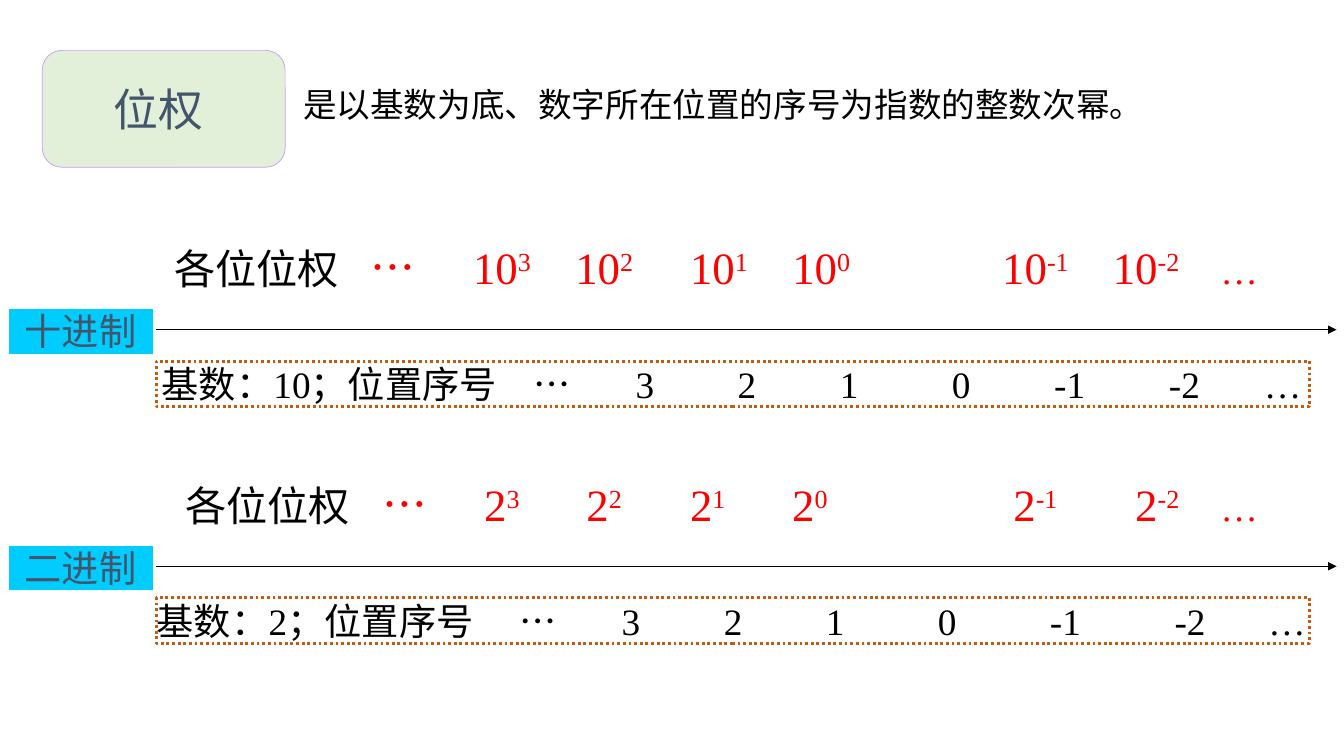
"""Build a slide on positional weights in the decimal and binary systems."""
from dataclasses import dataclass

from lxml import etree
from pptx import Presentation
from pptx.dml.color import RGBColor
from pptx.enum.dml import MSO_LINE
from pptx.enum.shapes import MSO_CONNECTOR, MSO_SHAPE
from pptx.enum.text import MSO_ANCHOR, PP_ALIGN
from pptx.oxml.ns import qn
from pptx.util import Pt

RECT, ROUNDED = MSO_SHAPE.RECTANGLE, MSO_SHAPE.ROUNDED_RECTANGLE
STRAIGHT, DOTTED = MSO_CONNECTOR.STRAIGHT, MSO_LINE.ROUND_DOT
TOP, MIDDLE = MSO_ANCHOR.TOP, MSO_ANCHOR.MIDDLE
LEFT, CENTER = PP_ALIGN.LEFT, PP_ALIGN.CENTER

BLACK = RGBColor(0x00, 0x00, 0x00)
WHITE = RGBColor(0xFF, 0xFF, 0xFF)
RED = RGBColor(0xFF, 0x00, 0x00)
SLATE = RGBColor(0x44, 0x54, 0x6A)
CYAN = RGBColor(0x00, 0xCC, 0xFF)
ORANGE = RGBColor(0xC5, 0x5A, 0x11)
PALE_GREEN = RGBColor(0xE2, 0xF0, 0xD9)
LILAC = RGBColor(0xCC, 0x99, 0xFF)

SERIF, MONO = "Times New Roman", "DejaVu Sans Mono"
INSET = 7.2
AXIS_LEFT, AXIS_RIGHT = 111.6, 954.7
EXPONENTS = ("3", "2", "1", "0", "-1", "-2")


@dataclass(frozen=True)
class Box:
    left: float
    top: float
    width: float
    height: float


@dataclass(frozen=True)
class NumberSystem:
    name: str
    base: str
    top: float
    weights_left: float
    weights_width: float
    weight_stops: tuple[float, ...]
    index_left: float
    index_stops: tuple[float, ...]


SYSTEMS = (
    NumberSystem("十进制", "10", 168, 117.4, 1018,
                 (265, 338, 411, 493, 566, 716, 795, 872),
                 115.4, (381, 454, 527, 600, 680, 753, 835, 903)),
    NumberSystem("二进制", "2", 337, 125.3, 968.4,
                 (273, 346, 419, 493, 566, 724, 811, 872),
                 112, (371, 444, 517, 590, 670, 750, 839, 906)),
)


def set_font(font, size: float, color: RGBColor, name: str = SERIF) -> None:
    font.name, font.size = name, Pt(size)
    font.color.rgb = color


def add_tabs(p, origin: float, stops: tuple[float, ...]) -> None:
    tabs = etree.SubElement(p._p.get_or_add_pPr(), qn("a:tabLst"))
    for stop in stops:
        etree.SubElement(tabs, qn("a:tab"), pos=str(int(Pt(stop - origin))), algn="l")


def add_panel(s, kind, box: Box, fill: RGBColor | None, line: RGBColor, weight: float):
    sp = s.shapes.add_shape(kind, Pt(box.left), Pt(box.top), Pt(box.width), Pt(box.height))
    sp.shadow.inherit = False
    if fill is None:
        sp.fill.background()
    else:
        sp.fill.solid()
        sp.fill.fore_color.rgb = fill
    sp.line.color.rgb = line
    sp.line.width = Pt(weight)
    tf = sp.text_frame
    tf.margin_left = tf.margin_top = tf.margin_right = tf.margin_bottom = 0
    tf.word_wrap = True
    tf.vertical_anchor = TOP
    return sp


def add_text_box(s, box: Box):
    sp = s.shapes.add_textbox(Pt(box.left), Pt(box.top), Pt(box.width), Pt(box.height))
    sp.text_frame.word_wrap = True
    return sp.text_frame.paragraphs[0]


def add_run(p, text: str, size: float, color: RGBColor, raised: bool = False) -> None:
    r = p.add_run()
    r.text = text
    set_font(r.font, size, color)
    if raised:
        r._r.get_or_add_rPr().set("baseline", "30000")


def add_arrow(s, y: float) -> None:
    cn = s.shapes.add_connector(STRAIGHT, Pt(AXIS_LEFT), Pt(y), Pt(AXIS_RIGHT), Pt(y))
    cn.line.color.rgb = BLACK
    cn.line.width = Pt(0.5)
    etree.SubElement(cn.line._get_or_add_ln(), qn("a:tailEnd"), type="triangle")
    etree.SubElement(cn._element.spPr, qn("a:effectLst"))


def add_heading(s) -> None:
    sp = add_panel(s, ROUNDED, Box(30.2, 36, 173.5, 83.5), PALE_GREEN, LILAC, 0.5)
    tf = sp.text_frame
    tf.vertical_anchor = MIDDLE
    tf.margin_right = Pt(8)
    p = tf.paragraphs[0]
    p.text, p.alignment = "位权", CENTER
    set_font(p.font, 32, SLATE)
    p = add_text_box(s, Box(209.5, 56.2, 744.5, 36))
    p.text = "是以基数为底、数字所在位置的序号为指数的整数次幂。"
    set_font(p.font, 24, BLACK, MONO)


def add_weights(s, system: NumberSystem) -> None:
    p = add_text_box(s, Box(system.weights_left, system.top, system.weights_width, 46))
    add_tabs(p, system.weights_left + INSET, system.weight_stops)
    add_run(p, "各位位权", 29.4, BLACK)
    add_run(p, "\t…", 32, RED)
    for exponent in EXPONENTS:
        add_run(p, f"\t{system.base}", 32, RED)
        add_run(p, exponent, 32, RED, raised=True)
    add_run(p, "\t…", 26.6, RED)


def add_indexes(s, system: NumberSystem) -> None:
    box = Box(AXIS_LEFT, system.top + 90, 823.7, 32.4)
    sp = add_panel(s, RECT, box, None, ORANGE, 2)
    sp.line.dash_style = DOTTED
    tf = sp.text_frame
    tf.margin_left = Pt(system.index_left - AXIS_LEFT)
    p = tf.paragraphs[0]
    p.alignment = LEFT
    add_tabs(p, system.index_left, system.index_stops)
    p.text = "\t".join((f"基数：{system.base}；位置序号", "…", *EXPONENTS, "…"))
    set_font(p.font, 26.6, BLACK)


def add_system(s, system: NumberSystem) -> None:
    add_weights(s, system)
    add_indexes(s, system)
    sp = add_panel(s, RECT, Box(5.8, system.top + 52.4, 103.7, 32.4), CYAN, WHITE, 0.5)
    p = sp.text_frame.paragraphs[0]
    p.text, p.alignment = system.name, CENTER
    set_font(p.font, 26.6, SLATE)
    add_arrow(s, system.top + 67.5)


def main() -> None:
    prs = Presentation()
    prs.slide_width, prs.slide_height = Pt(960), Pt(540)
    s = prs.slides.add_slide(prs.slide_layouts[6])
    add_heading(s)
    for system in SYSTEMS:
        add_system(s, system)
    prs.save("out.pptx")


if __name__ == "__main__":
    main()
